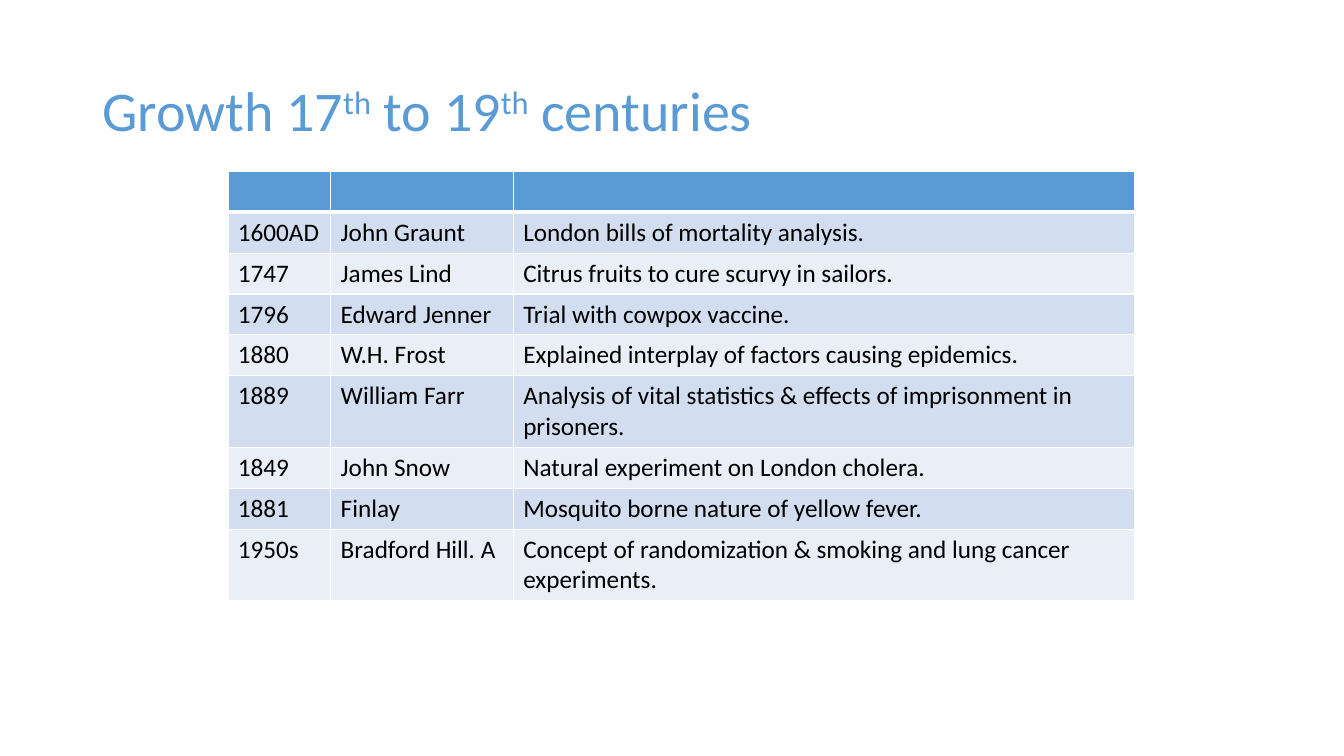
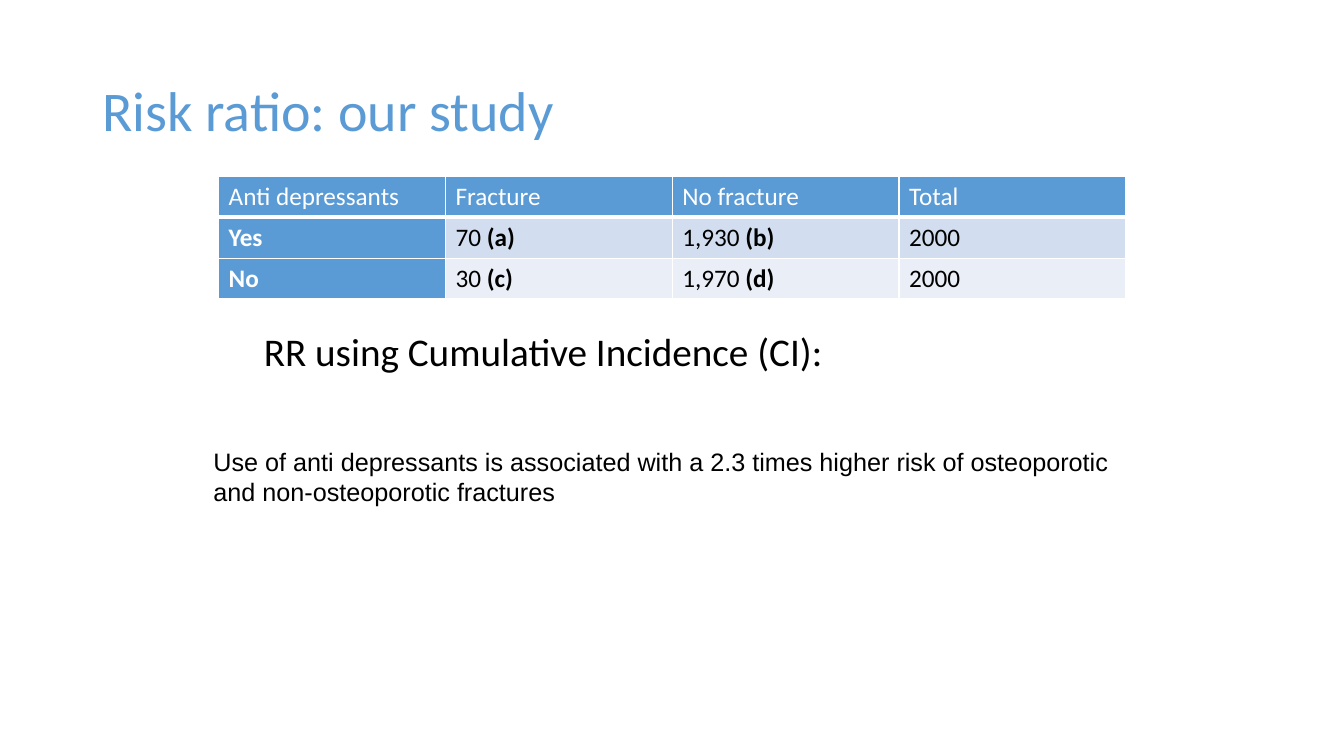
from lxml.etree import SubElement
from pptx import Presentation
from pptx.dml.color import RGBColor
from pptx.enum.text import MSO_ANCHOR, MSO_AUTO_SIZE, PP_ALIGN
from pptx.oxml.ns import qn
from pptx.util import Pt

BLUE = RGBColor(0x5B, 0x9B, 0xD5)
BAND_DARK = RGBColor(0xD2, 0xDE, 0xEF)
BAND_LIGHT = RGBColor(0xEA, 0xEF, 0xF7)
WHITE = RGBColor(0xFF, 0xFF, 0xFF)
BLACK = RGBColor(0, 0, 0)

# Text between bars is emphasised: raised in titles, bold elsewhere.
GROWTH_TITLE = "Growth 17|th| to 19|th| centuries"
GROWTH_ROWS = [
    ("", "", ""),
    ("1600AD", "John Graunt", "London bills of mortality analysis."),
    ("1747", "James Lind", "Citrus fruits to cure scurvy in sailors."),
    ("1796", "Edward Jenner", "Trial with cowpox vaccine."),
    ("1880", "W.H. Frost", "Explained interplay of factors causing epidemics."),
    ("1889", "William Farr",
     "Analysis of vital statistics & effects of imprisonment in prisoners."),
    ("1849", "John Snow", "Natural experiment on London cholera."),
    ("1881", "Finlay", "Mosquito borne nature of yellow fever."),
    ("1950s", "Bradford Hill. A",
     "Concept of randomization & smoking and lung cancer experiments."),
]
GROWTH_TALL_ROWS = (5, 8)

RISK_TITLE = "Risk ratio: our study"
RISK_ROWS = [
    ("Anti depressants", "Fracture", "No fracture", "Total"),
    ("|Yes|", "70 |(a)|", "1,930 |(b)|", "2000"),
    ("|No|", "30 |(c)|", "1,970 |(d)|", "2000"),
]
RISK_METHOD = "RR using Cumulative Incidence (CI):"
RISK_FINDING = ("Use of anti depressants is associated with a 2.3 times higher risk "
                "of osteoporotic and non-osteoporotic fractures")

ROW_HEIGHT, TALL_ROW_HEIGHT = 29.2, 50.8
NOTE_LEFT, NOTE_WIDTH = 145.4, 657.4
TITLE_ONLY_LAYOUT = 5


def set_attributes(target, values):
    for name, value in values.items():
        setattr(target, name, value)


def add_runs(paragraph, text, size, color, font="Calibri", raised=False):
    for index, piece in enumerate(text.split("|")):
        if not piece:
            continue
        emphasised = index % 2 == 1
        run = paragraph.add_run()
        run.text = piece
        set_attributes(run.font, {"size": Pt(size), "name": font,
                                  "bold": emphasised and not raised})
        run.font.color.rgb = color
        if emphasised and raised:
            run._r.get_or_add_rPr().set("baseline", "30000")


def add_titled_slide(presentation, text):
    slide = presentation.slides.add_slide(presentation.slide_layouts[TITLE_ONLY_LAYOUT])
    title = slide.shapes.title
    set_attributes(title, {"left": Pt(66), "top": Pt(28.8),
                           "width": Pt(828), "height": Pt(104.4)})
    set_attributes(title.text_frame, {"vertical_anchor": MSO_ANCHOR.MIDDLE,
                                      "auto_size": MSO_AUTO_SIZE.NONE,
                                      "word_wrap": True})
    paragraph = title.text_frame.paragraphs[0]
    set_attributes(paragraph, {"alignment": PP_ALIGN.LEFT, "line_spacing": 0.9})
    add_runs(paragraph, text, 40, BLUE, raised=True)
    return slide


def add_borders(cell, is_header):
    properties = cell._tc.get_or_add_tcPr()
    for side in "LRTB":
        width = 3 if is_header and side == "B" else 1
        line = SubElement(properties, qn(f"a:ln{side}"), w=str(Pt(width)))
        fill = SubElement(line, qn("a:solidFill"))
        SubElement(fill, qn("a:srgbClr"), val=str(WHITE))


def add_banded_table(slide, rows, left, top, widths, tall_rows=(), header_column=False):
    heights = [TALL_ROW_HEIGHT if index in tall_rows else ROW_HEIGHT
               for index in range(len(rows))]
    table = slide.shapes.add_table(len(rows), len(widths), Pt(left), Pt(top),
                                   Pt(sum(widths)), Pt(sum(heights))).table
    table.first_col = header_column
    for column, width in zip(table.columns, widths):
        column.width = Pt(width)
    for row_index, texts in enumerate(rows):
        table.rows[row_index].height = Pt(heights[row_index])
        for column_index, text in enumerate(texts):
            cell = table.cell(row_index, column_index)
            is_header = row_index == 0
            is_blue = is_header or (header_column and column_index == 0)
            band = BAND_DARK if row_index % 2 else BAND_LIGHT
            add_borders(cell, is_header)
            cell.fill.solid()
            cell.fill.fore_color.rgb = BLUE if is_blue else band
            add_runs(cell.text_frame.paragraphs[0], text, 18, WHITE if is_blue else BLACK)


def add_note(slide, text, top, height, size, font, indent=0):
    box = slide.shapes.add_textbox(Pt(NOTE_LEFT), Pt(top), Pt(NOTE_WIDTH), Pt(height))
    box.text_frame.word_wrap = True
    paragraph = box.text_frame.paragraphs[0]
    if indent:
        paragraph.level = 1
        paragraph._p.get_or_add_pPr().set("marL", str(Pt(indent)))
    add_runs(paragraph, text, size, BLACK, font)


def main():
    presentation = Presentation()
    set_attributes(presentation, {"slide_width": Pt(960), "slide_height": Pt(540)})

    growth = add_titled_slide(presentation, GROWTH_TITLE)
    add_banded_table(growth, GROWTH_ROWS, 162.8, 122.4, (73.4, 130.4, 444.2),
                     GROWTH_TALL_ROWS)

    risk = add_titled_slide(presentation, RISK_TITLE)
    add_banded_table(risk, RISK_ROWS, 156.2, 126, [162] * 4, header_column=True)
    add_note(risk, RISK_METHOD, 230.4, 131, 28, "Calibri", indent=36)
    add_note(risk, RISK_FINDING, 315.4, 51, 18, "Arial")

    presentation.save("out.pptx")


if __name__ == "__main__":
    main()
